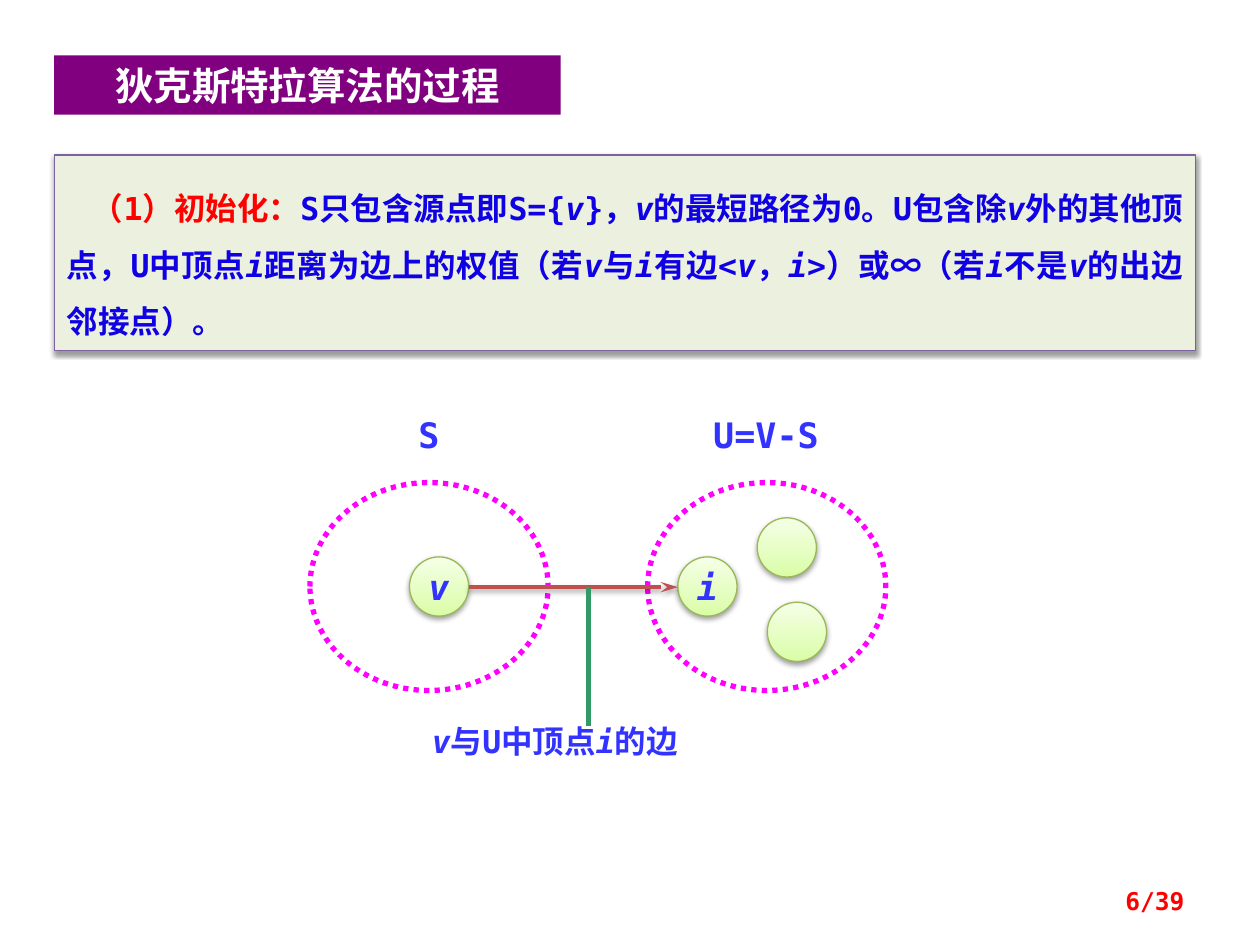
import pptx
import pptx.util
import pptx.dml.color
import pptx.enum.dml
import pptx.enum.shapes
import pptx.enum.text
import lxml.etree

Inches, Pt = pptx.util.Inches, pptx.util.Pt
RGB = pptx.dml.color.RGBColor.from_string
SHAPE = pptx.enum.shapes.MSO_SHAPE
LINE = pptx.enum.shapes.MSO_CONNECTOR.STRAIGHT
ALIGN = pptx.enum.text.PP_ALIGN
ANCHOR = pptx.enum.text.MSO_ANCHOR
NS = "http://schemas.openxmlformats.org/drawingml/2006/main"
MONO, HAN = "DejaVu Sans Mono", "Noto Sans CJK SC"
HEX = {
    "purple": "800080", "white": "FFFFFF", "cream": "EBF1DE",
    "edge": "7D60A0", "red": "FF0000", "ink": "1000E4", "blue": "3333FF",
    "pink": "FF00FF", "lime": "DAFDA7", "pale": "F5FFE7",
    "olive": "98B955", "brick": "C0504D", "green": "339966",
}


def write(shape, text, size, color, align, pad=(0.1, 0.05), font=MONO,
          anchor=ANCHOR.TOP, wrap=True):
    """Fill a shape with one paragraph; parts between asterisks are italic."""
    frame = shape.text_frame
    frame.auto_size = pptx.enum.text.MSO_AUTO_SIZE.NONE
    frame.word_wrap = wrap
    frame.vertical_anchor = anchor
    frame.margin_left = frame.margin_right = Inches(pad[0])
    frame.margin_top = frame.margin_bottom = Inches(pad[1])
    para = frame.paragraphs[0]
    para.alignment = align
    para.space_before = Pt(0)
    for n, part in enumerate(text.split("*")):
        if not part:
            continue
        run = para.add_run()
        run.text = part
        run.font.size = Pt(size)
        run.font.bold = True
        run.font.italic = n % 2 == 1
        run.font.name = font
        run.font.color.rgb = RGB(HEX[color])
        props = run._r.get_or_add_rPr()
        latin = props.find(f"{{{NS}}}latin")
        latin.addnext(lxml.etree.Element(f"{{{NS}}}ea", typeface=HAN))
    return para


def shade(shape):
    """Give a shape or connector a soft shadow below it."""
    shape._element.spPr.append(lxml.etree.fromstring(
        f'<a:effectLst xmlns:a="{NS}"><a:outerShdw blurRad="40000" '
        'dist="20000" dir="5400000" rotWithShape="0"><a:srgbClr val="000000">'
        '<a:alpha val="38000"/></a:srgbClr></a:outerShdw></a:effectLst>'))


deck = pptx.Presentation()
deck.slide_width, deck.slide_height = Inches(10), Inches(7.5)
slide = deck.slides.add_slide(deck.slide_layouts[1])
shapes = slide.shapes

# Title bar
title = shapes.title
title.left, title.top = Inches(0.43), Inches(0.44)
title.width, title.height = Inches(4.02), Inches(0.47)
title.fill.solid()
title.fill.fore_color.rgb = RGB(HEX["purple"])
write(title, "狄克斯特拉算法的过程", 22, "white", ALIGN.CENTER, font=HAN,
      anchor=ANCHOR.MIDDLE)

# Step description
body = slide.placeholders[1]
body.left, body.top = Inches(0.43), Inches(1.23)
body.width, body.height = Inches(9.06), Inches(1.55)
body.fill.solid()
body.fill.fore_color.rgb = RGB(HEX["cream"])
body.line.color.rgb = RGB(HEX["edge"])
body.line.width = Pt(0.75)
shade(body)
para = write(
    body,
    "（1）初始化：**S只包含源点即S={*v*}，*v*的最短路径为0。U包含除*v*外的其他顶点，"
    "U中顶点*i*距离为边上的权值（若*v*与*i*有边<*v*，*i*>）或∞"
    "（若*i*不是*v*的出边邻接点）。",
    18, "ink", ALIGN.JUSTIFY, pad=(0.1, 0.12))
para.line_spacing = 1.5
para.runs[0].font.color.rgb = RGB(HEX["red"])
props = para._p.get_or_add_pPr()
props.set("marL", "0")
props.set("indent", str(Inches(0.2)))
lxml.etree.SubElement(props, f"{{{NS}}}buNone")

# Dotted vertex sets
for left in (2.46, 5.14):
    ring = shapes.add_shape(SHAPE.OVAL, Inches(left), Inches(3.83),
                            Inches(1.89), Inches(1.65))
    ring.shadow.inherit = False
    ring.fill.background()
    ring.line.color.rgb = RGB(HEX["pink"])
    ring.line.width = Pt(3)
    ring.line.dash_style = pptx.enum.dml.MSO_LINE.ROUND_DOT

# Vertices
for left, top, name in ((3.25, 4.42, "*v*"), (5.38, 4.42, "*i*"),
                        (6.09, 4.78, ""), (6.01, 4.11, "")):
    node = shapes.add_shape(SHAPE.OVAL, Inches(left), Inches(top),
                            Inches(0.47), Inches(0.47))
    node.fill.gradient()
    node.fill.gradient_angle = 90
    for stop, tint in zip(node.fill.gradient_stops, ("lime", "pale")):
        stop.color.rgb = RGB(HEX[tint])
    node.line.color.rgb = RGB(HEX["olive"])
    node.line.width = Pt(0.75)
    shade(node)
    if name:
        write(node, name, 20, "blue", ALIGN.CENTER, anchor=ANCHOR.MIDDLE,
              wrap=False)

# Edge from v to i, and its pointer
edge = shapes.add_connector(LINE, Inches(3.72), Inches(4.66),
                            Inches(5.38), Inches(4.66))
edge.line.color.rgb = RGB(HEX["brick"])
edge.line.width = Pt(2)
lxml.etree.SubElement(edge.line._get_or_add_ln(), f"{{{NS}}}tailEnd",
                      type="stealth", w="med", len="lg")
shade(edge)
stem = shapes.add_connector(LINE, Inches(4.67), Inches(4.66),
                            Inches(4.67), Inches(5.76))
stem.line.color.rgb = RGB(HEX["green"])
stem.line.width = Pt(3)
lxml.etree.SubElement(stem._element.spPr, f"{{{NS}}}effectLst")

# Labels and page number
for left, top, width, height, text, size, color, align, pad, anchor in (
    (3.09, 3.28, 0.63, 0.34, "S", 20, "blue", ALIGN.CENTER, (0, 0),
     ANCHOR.TOP),
    (5.53, 3.28, 1.1, 0.34, "U=V-S", 20, "blue", ALIGN.CENTER, (0, 0),
     ANCHOR.TOP),
    (3.33, 5.68, 2.99, 0.4, "*v*与U中顶点*i*的边", 18, "blue", ALIGN.LEFT,
     (0.1, 0.05), ANCHOR.TOP),
    (7.17, 6.95, 2.33, 0.4, "6/39", 14, "red", ALIGN.RIGHT, (0.1, 0.05),
     ANCHOR.MIDDLE),
):
    label = shapes.add_textbox(Inches(left), Inches(top),
                               Inches(width), Inches(height))
    write(label, text, size, color, align, pad=pad, anchor=anchor)

deck.save("out.pptx")
